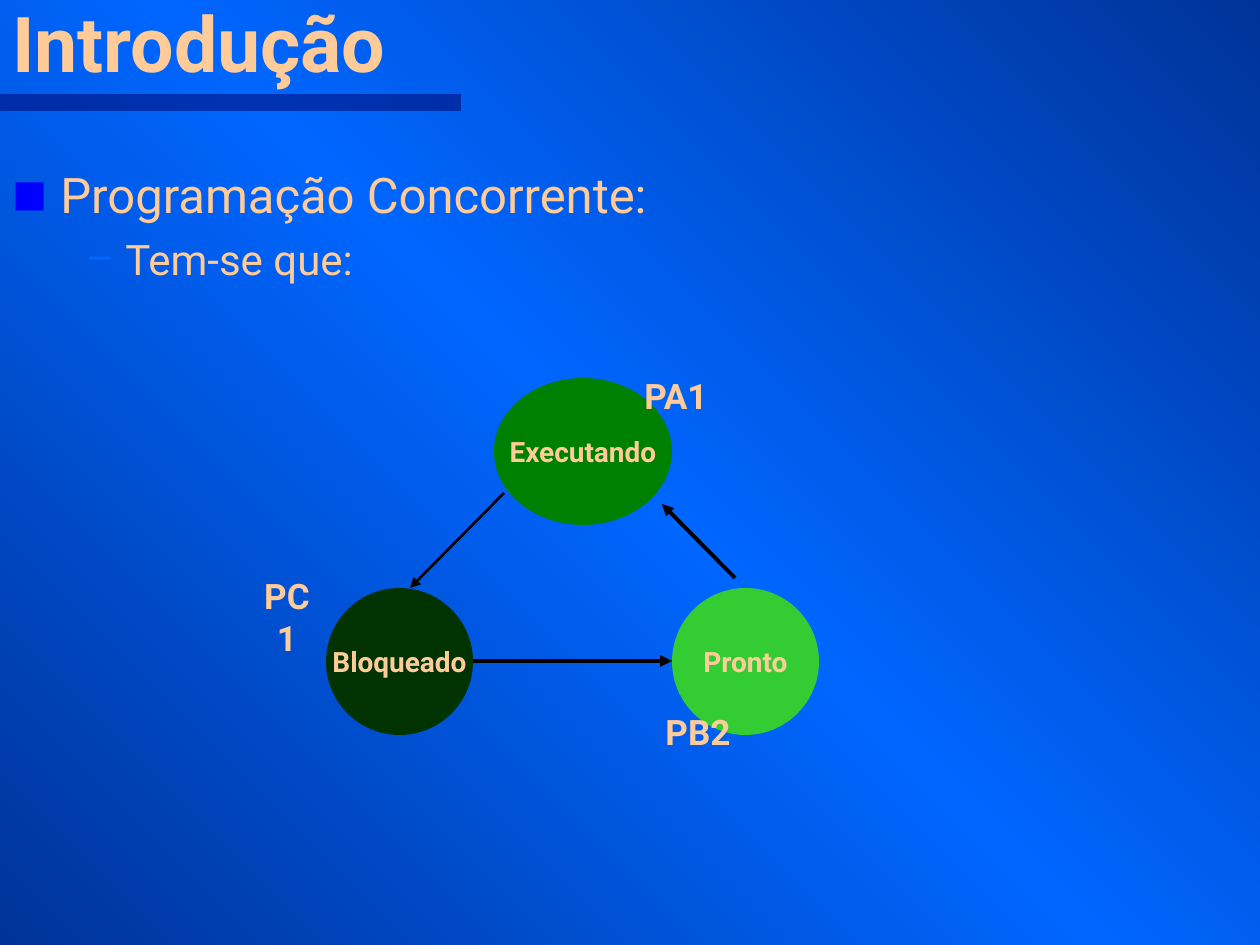
from lxml import etree
from pptx import Presentation
from pptx.dml.color import RGBColor
from pptx.enum.shapes import MSO_CONNECTOR, MSO_SHAPE
from pptx.enum.text import MSO_ANCHOR, PP_ALIGN
from pptx.oxml import parse_xml
from pptx.oxml.ns import nsdecls, qn
from pptx.util import Emu, Pt

RECTANGLE, ELLIPSE = MSO_SHAPE.RECTANGLE, MSO_SHAPE.OVAL
STRAIGHT = MSO_CONNECTOR.STRAIGHT
TOP, MIDDLE, BOTTOM = MSO_ANCHOR.TOP, MSO_ANCHOR.MIDDLE, MSO_ANCHOR.BOTTOM
LEFT, CENTER = PP_ALIGN.LEFT, PP_ALIGN.CENTER

PEACH = RGBColor(0xFF, 0xCC, 0x99)
NAVY = RGBColor(0x00, 0x00, 0x66)
DEEP_BLUE = RGBColor(0x00, 0x33, 0x99)
BRIGHT_BLUE = RGBColor(0x00, 0x66, 0xFF)
PURE_BLUE = RGBColor(0x00, 0x00, 0xFF)
GREEN = RGBColor(0x00, 0x80, 0x00)
DARK_GREEN = RGBColor(0x00, 0x33, 0x00)
LIGHT_GREEN = RGBColor(0x33, 0xCC, 0x33)
BLACK = RGBColor(0x00, 0x00, 0x00)

FONT = "Roboto"
TITLE = "Introdução"
BULLETS = [
    dict(text="Programação Concorrente:", size=28, mark="■", mark_color=PURE_BLUE,
         mark_size=75, margin=48, indent=-48, before=0),
    dict(text="Tem-se que:", size=24, mark="–", mark_color=BRIGHT_BLUE,
         mark_size=100, margin=113, indent=-39, before=6),
]
STATES = [
    ("Executando", (494, 378, 178, 147), GREEN),
    ("Bloqueado", (326, 588, 147, 147), DARK_GREEN),
    ("Pronto", (672, 588, 147, 147), LIGHT_GREEN),
]
ARROWS = [
    ((735, 578), (662, 504), 2.25),
    ((504, 493), (410, 588), 1.5),
    ((473, 661), (672, 661), 2.25),
]
PROCESSES = [
    ("PB2", (653, 703, 90, 56), False),
    ("PC1", (247, 588, 80, 56), True),
    ("PA1", (631, 368, 90, 56), False),
]
BACKGROUND_STOPS = [(0, DEEP_BLUE), (50, BRIGHT_BLUE), (100, DEEP_BLUE)]


def px(length):
    return Emu(round(length * 914400 / 126))


def write(frame, text, size, bold=True, align=CENTER, anchor=MIDDLE, wrap=False):
    frame.word_wrap = wrap
    frame.vertical_anchor = anchor
    para = frame.paragraphs[0]
    if para.runs:
        para = frame.add_paragraph()
    para.alignment = align
    span = para.add_run()
    span.text = text
    span.font.name = FONT
    span.font.size = Pt(size)
    span.font.bold = bold
    span.font.color.rgb = PEACH
    return para


def add_text_box(slide, place):
    return slide.shapes.add_textbox(*map(px, place)).text_frame


def add_filled(slide, kind, place, color):
    shape = slide.shapes.add_shape(kind, *map(px, place))
    shape.shadow.inherit = False
    shape.fill.solid()
    shape.fill.fore_color.rgb = color
    shape.line.fill.background()
    return shape


def add_bullet(para, item):
    settings = para._p.get_or_add_pPr()
    settings.set("marL", str(px(item["margin"])))
    settings.set("indent", str(px(item["indent"])))
    color = etree.SubElement(settings, qn("a:buClr"))
    etree.SubElement(color, qn("a:srgbClr"), val=str(item["mark_color"]))
    etree.SubElement(settings, qn("a:buSzPct"), val=str(item["mark_size"] * 1000))
    etree.SubElement(settings, qn("a:buFont"), typeface=FONT)
    etree.SubElement(settings, qn("a:buChar"), char=item["mark"])


def add_arrow(slide, start, end, width):
    arrow = slide.shapes.add_connector(STRAIGHT, *map(px, start + end))
    arrow.line.color.rgb = BLACK
    arrow.line.width = Pt(width)
    etree.SubElement(arrow.line._get_or_add_ln(), qn("a:tailEnd"), type="triangle")
    etree.SubElement(arrow._element.spPr, qn("a:effectLst"))


def paint_background(slide):
    fill = slide.background.fill
    fill.gradient()
    fill.gradient_angle = 225
    stops = "".join(
        f'<a:gs pos="{share * 1000}"><a:srgbClr val="{color}"/></a:gs>'
        for share, color in BACKGROUND_STOPS
    )
    old = next(slide.background._cSld.iter(qn("a:gsLst")))
    new = parse_xml(f'<a:gsLst {nsdecls("a")}>{stops}</a:gsLst>')
    old.getparent().replace(old, new)


def main():
    deck = Presentation()
    deck.slide_width, deck.slide_height = px(1260), px(945)
    slide = deck.slides.add_slide(deck.slide_layouts[6])
    paint_background(slide)

    bar = add_filled(slide, RECTANGLE, (0, 94, 461, 17), NAVY)
    bar_color = next(bar._element.spPr.iter(qn("a:srgbClr")))
    etree.SubElement(bar_color, qn("a:alpha"), val="50000")

    write(add_text_box(slide, (0, -10, 1166, 104)), TITLE, 44,
          align=LEFT, anchor=BOTTOM, wrap=True)

    body = add_text_box(slide, (0, 158, 1250, 724))
    for item in BULLETS:
        para = write(body, item["text"], item["size"], bold=False,
                     align=LEFT, anchor=TOP, wrap=True)
        add_bullet(para, item)
        para.space_before = Pt(item["before"])

    for name, place, color in STATES:
        write(add_filled(slide, ELLIPSE, place, color).text_frame, name, 16)
    for start, end, width in ARROWS:
        add_arrow(slide, start, end, width)
    for name, place, wrap in PROCESSES:
        write(add_text_box(slide, place), name, 20, wrap=wrap)

    deck.save("out.pptx")


if __name__ == "__main__":
    main()
